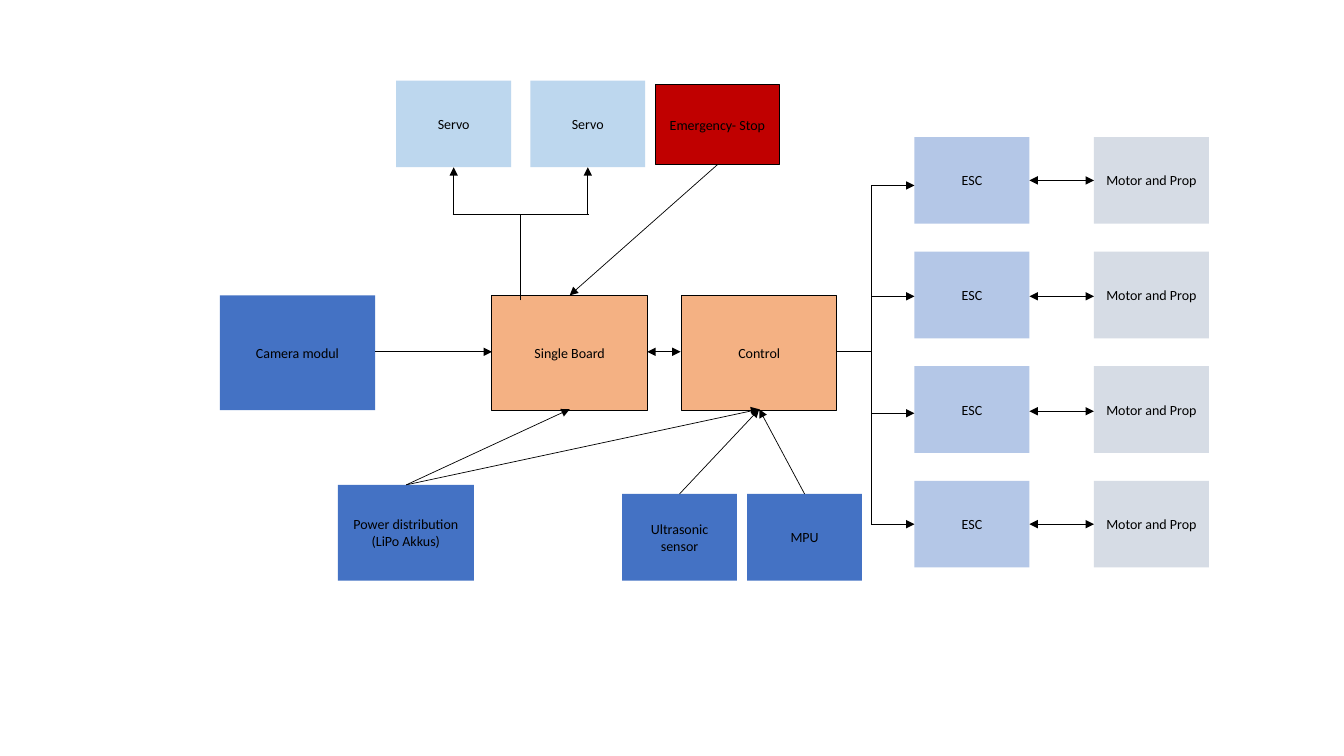
from pptx import Presentation
from pptx.dml.color import RGBColor
from pptx.enum.shapes import MSO_CONNECTOR as CONNECTOR, MSO_SHAPE as SHAPE
from pptx.enum.text import MSO_ANCHOR as ANCHOR, PP_ALIGN as ALIGN
from pptx.oxml.ns import qn
from pptx.util import Inches, Pt
from lxml.etree import SubElement

COLORS = {
    "black": "000000",
    "input": "4472C4",
    "servo": "BDD7EE",
    "board": "F4B183",
    "esc": "B4C7E7",
    "motor": "D6DCE5",
    "stop": "C00000",
}

prs = Presentation()
prs.slide_width, prs.slide_height = Inches(13.33), Inches(7.5)
slide = prs.slides.add_slide(prs.slide_layouts[6])


def add_block(text, left, top, width=1.14, height=0.86, fill="input",
              outlined=False, size=10, font="Calibri", color="black"):
    """Draw a labelled rectangle; each line of text is a paragraph."""
    block = slide.shapes.add_shape(SHAPE.RECTANGLE, Inches(left), Inches(top),
                                   Inches(width), Inches(height))
    block.shadow.inherit = False
    block.fill.solid()
    block.fill.fore_color.rgb = RGBColor.from_string(COLORS[fill])
    if outlined:
        block.line.color.rgb = RGBColor.from_string(COLORS["black"])
        block.line.width = Pt(0.75)
    else:
        block.line.fill.background()
    frame = block.text_frame
    frame.word_wrap = True
    frame.vertical_anchor = ANCHOR.MIDDLE
    frame.text = text
    for paragraph in frame.paragraphs:
        paragraph.alignment = ALIGN.CENTER
        paragraph.font.size = Pt(size)
        paragraph.font.name = font
        paragraph.font.color.rgb = RGBColor.from_string(COLORS[color])


def add_link(x1, y1, x2, y2, ends=("tailEnd",)):
    """Draw a thin line with a triangle at each of the named ends."""
    link = slide.shapes.add_connector(CONNECTOR.STRAIGHT, Inches(x1), Inches(y1),
                                      Inches(x2), Inches(y2))
    link.line.color.rgb = RGBColor.from_string(COLORS["black"])
    link.line.width = Pt(0.5)
    for end in ends:
        SubElement(link.line._get_or_add_ln(), qn(f"a:{end}"), type="triangle")
    SubElement(link._element.spPr, qn("a:effectLst"))


BOTH = ("headEnd", "tailEnd")
board_top, board_bottom, board_middle = 2.93, 4.06, 3.49
computer_center, controller_center = 5.65, 7.53

# Inputs and boards
add_block("Camera modul", 2.18, board_top, 1.54, 1.14)
add_block("Single Board", 4.88, board_top, 1.54, 1.14, fill="board", outlined=True)
add_block("Control", 6.76, board_top, 1.54, 1.14, fill="board", outlined=True)
add_block("Emergency- Stop", 6.5, 0.84, 1.23, 0.79, fill="stop", outlined=True)
add_block("Power distribution\n(LiPo Akkus)", 3.35, 4.81, 1.35, 0.95)
add_block("Ultrasonic sensor", 6.17, 4.9)
add_block("MPU", 7.41, 4.9)

add_link(3.72, board_middle, 4.88, board_middle)
add_link(6.42, board_middle, 6.75, board_middle, ends=BOTH)
add_link(7.12, 1.63, computer_center, board_top)
for board_center in (computer_center, controller_center):
    add_link(4.03, 4.81, board_center, board_bottom)
for sensor_center in (6.74, 7.98):
    add_link(sensor_center, 4.9, controller_center, board_bottom)

# Servos
servo_bus = 2.13
for servo_left in (3.93, 5.26):
    add_block("Servo", servo_left, 0.8, fill="servo")
    add_link(servo_left + 0.57, servo_bus, servo_left + 0.57, 1.66)
add_link(4.49, servo_bus, 5.84, servo_bus, ends=())
add_link(5.16, 2.98, 5.16, servo_bus, ends=())

# Motor channels
motor_bus = 8.64
channel_step = (4.77 - 1.36) / 3
branch_heights = (1.84, 2.94, 4.1, 5.2)
motor_heights = (1.79, 2.94, 4.08, 5.2)
for channel, (branch_y, motor_y) in enumerate(zip(branch_heights, motor_heights)):
    channel_top = 1.36 + channel * channel_step
    add_block("ESC", 9.07, channel_top, fill="esc")
    add_block("Motor and Prop", 10.85, channel_top, fill="motor")
    add_link(motor_bus, branch_y, 9.07, branch_y)
    add_link(10.21, motor_y, 10.85, motor_y, ends=BOTH)
add_link(motor_bus, branch_heights[-1], motor_bus, branch_heights[0], ends=())
add_link(8.3, board_middle, motor_bus, board_middle, ends=())

prs.save("out.pptx")
